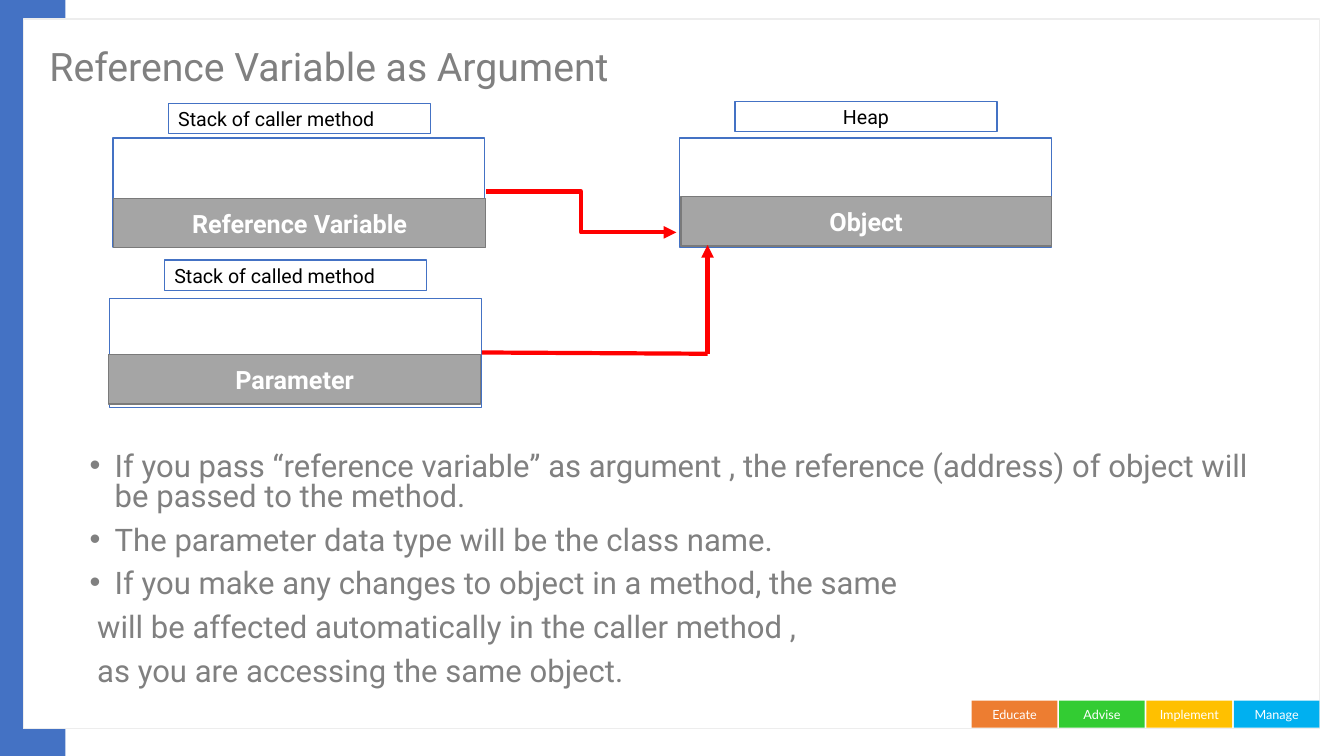
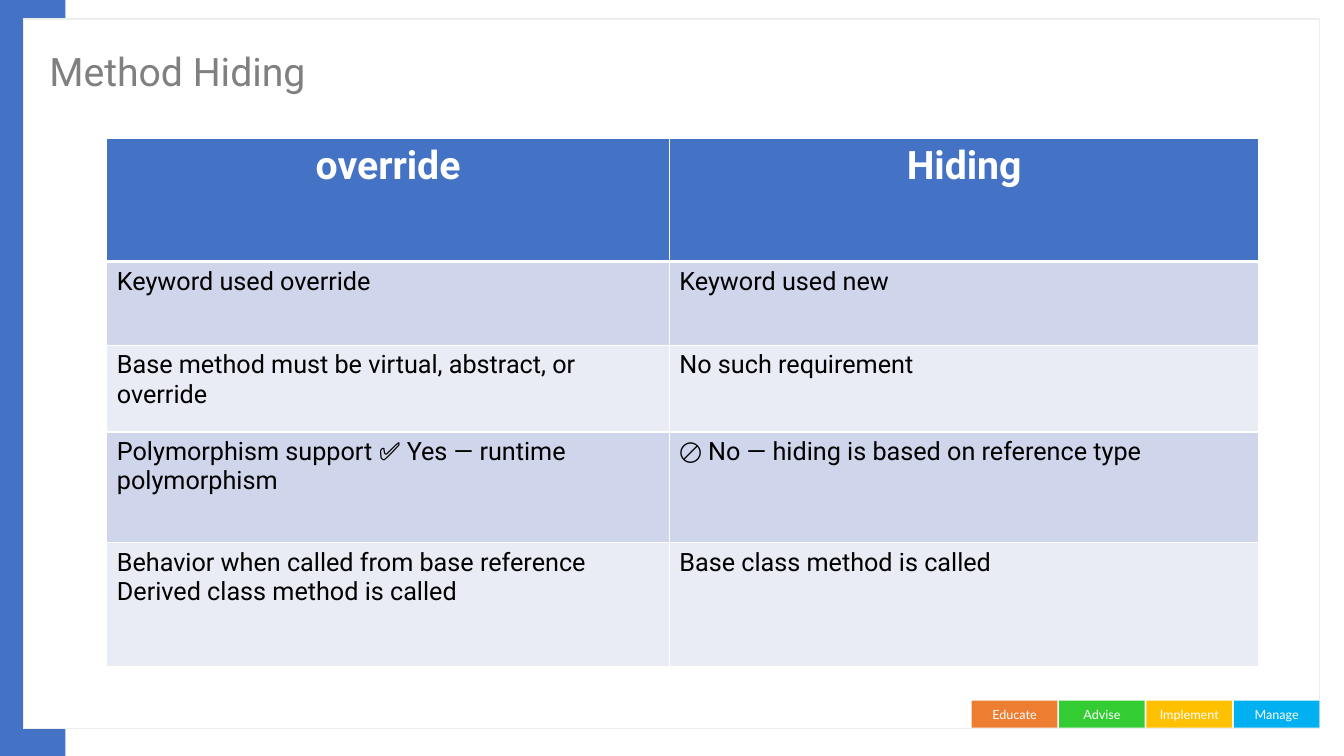
from lxml import etree
from pptx import Presentation
from pptx.dml.color import RGBColor
from pptx.enum import shapes, text
from pptx.oxml import ns
from pptx.util import Pt

BLUE, WHITE, BLACK, GREY, RED = "4472C4", "FFFFFF", "000000", "808080", "FF0000"
BAND, BAND_LINE, FRAME_LINE = "A5A5A5", "7A7A7A", "EDEDED"
ROW_FILLS = ("CFD5EA", "E9EBF5")
FONT, TAG_FONT = "Roboto", "Lato"
LEFT, CENTER = text.PP_ALIGN.LEFT, text.PP_ALIGN.CENTER

TAGS = [("Educate", "ED7D31"), ("Advise", "33CC33"),
        ("Implement", "FFC000"), ("Manage", "00B0F0")]

# Outer box, caption, alignment and box of the caption, band text and box
MEMORY_BLOCKS = [
    ((80.6, 98.6, 265.7, 78), "Stack of caller method", LEFT, (120.2, 73.9, 187.2, 21.6),
     "Reference Variable", (81.2, 141.6, 265.7, 35.3)),
    ((485.3, 98.6, 265.7, 78), "Heap", CENTER, (525, 72.5, 187.2, 21.6),
     "Object", (486.4, 140.4, 264.5, 35.3)),
    ((78.3, 213.1, 265.7, 78), "Stack of called method", LEFT, (117.4, 185.8, 187.2, 21.6),
     "Parameter", (77.6, 253.4, 265.7, 35.3)),
]
# Kind, start, end, arrowhead
STRAIGHT, ELBOW = shapes.MSO_CONNECTOR.STRAIGHT, shapes.MSO_CONNECTOR.ELBOW
LINKS = [
    (ELBOW, (347, 136.8), (483.1, 166), True),
    (STRAIGHT, (344.2, 251.8), (505.4, 252.7), False),
    (STRAIGHT, (505.4, 252.7), (505.4, 175), True),
]
# Text, bulleted
NOTES = [
    ("If you pass “reference variable” as argument , the reference (address) of object "
     "will be passed to the method.", True),
    ("The parameter data type will be the class name.", True),
    ("If you make any changes to object in a method, the same", True),
    ("will be affected automatically in the caller method ,", False),
    ("as you are accessing the same object.", False),
]
COMPARISON = [
    ("override", "Hiding"),
    ("Keyword used override", "Keyword used new"),
    ("Base method must be virtual, abstract, or override", "No such requirement"),
    ("Polymorphism support ✅ Yes — runtime polymorphism",
     "🚫 No — hiding is based on reference type"),
    ("Behavior when called from base reference Derived class method is called",
     "Base class method is called"),
]
COLUMN_WIDTHS = (401.8, 421.2)
ROW_HEIGHTS = (88.3, 59.8, 61.9, 79.2, 88.6)


def color(value):
    return RGBColor.from_string(value)


def points(values):
    return [Pt(value) for value in values]


def add_xml(parent, tag, **attributes):
    return etree.SubElement(parent, ns.qn(tag), attributes)


def add_run(paragraph, words, size, ink, bold=False, font=FONT):
    run = paragraph.add_run()
    run.text = words
    run.font.name, run.font.size, run.font.bold = font, Pt(size), bold
    run.font.color.rgb = color(ink)


def add_box(slide, box, fill, line=None):
    shape = slide.shapes.add_shape(shapes.MSO_SHAPE.RECTANGLE, *points(box))
    shape.shadow.inherit = False
    shape.fill.solid()
    shape.fill.fore_color.rgb = color(fill)
    if line:
        shape.line.color.rgb = color(line)
        shape.line.width = Pt(1)
    else:
        shape.line.fill.background()
    return shape


def add_label(shape, words, size, ink, align=CENTER, **style):
    shape.text_frame.vertical_anchor = text.MSO_ANCHOR.MIDDLE
    paragraph = shape.text_frame.paragraphs[0]
    paragraph.alignment = align
    add_run(paragraph, words, size, ink, **style)


def add_frame(slide, layout):
    """Draw the stripe, page and tags, then move them to the shared layout."""
    parts = [add_box(slide, (0, 0, 46.8, 540), BLUE),
             add_box(slide, (16.6, 13.7, 925.9, 506.9), WHITE, FRAME_LINE)]
    for index, (words, fill) in enumerate(TAGS):
        tag = add_box(slide, (694.1 + 62.4 * index, 500.4, 61.2, 19.4), fill)
        add_label(tag, words, 9, WHITE, font=TAG_FONT)
        parts.append(tag)
    for index, part in enumerate(parts):
        layout.shapes.element.insert(2 + index, part.element)


def set_title(slide, words, top):
    title = slide.shapes.title
    title.left, title.top, title.width, title.height = points((28.1, top, 743, 62.6))
    title.text_frame.auto_size = text.MSO_AUTO_SIZE.NONE
    title.text_frame.paragraphs[0].line_spacing = 0.9
    add_label(title, words, 28, GREY, LEFT)


def add_link(slide, kind, start, end, arrow):
    link = slide.shapes.add_connector(kind, *points(start + end))
    link.line.color.rgb = color(RED)
    link.line.width = Pt(3)
    if arrow:
        add_xml(link.line._get_or_add_ln(), "a:tailEnd", type="triangle")
    add_xml(link.element.spPr, "a:effectLst")


def add_notes(slide):
    frame = slide.shapes.add_textbox(*points((56.9, 320.4, 869, 176.4))).text_frame
    frame.word_wrap = True
    for index, (words, bulleted) in enumerate(NOTES):
        paragraph = frame.paragraphs[0] if index == 0 else frame.add_paragraph()
        paragraph.line_spacing = 0.8
        paragraph.space_before = Pt(10 if index else 0)
        properties = paragraph._p.get_or_add_pPr()
        margin, indent = (18, -18) if bulleted else (5.5, 0)
        properties.set("marL", str(Pt(margin)))
        properties.set("indent", str(Pt(indent)))
        if bulleted:
            add_xml(properties, "a:buFont", typeface="Arial")
            add_xml(properties, "a:buChar", char="•")
        add_run(paragraph, words, 22.2, GREY)


def set_borders(cell, row):
    """Draw white borders, thicker between the header and the first row."""
    thick_side = {0: "B", 1: "T"}.get(row)
    for side in "LRTB":
        width = Pt(3 if side == thick_side else 1)
        line = add_xml(cell._tc.get_or_add_tcPr(), f"a:ln{side}", w=str(width))
        add_xml(add_xml(line, "a:solidFill"), "a:srgbClr", val=WHITE)


def add_comparison(slide):
    box = (76.3, 98.6, sum(COLUMN_WIDTHS), sum(ROW_HEIGHTS))
    table = slide.shapes.add_table(len(COMPARISON), len(COLUMN_WIDTHS), *points(box)).table
    for column, width in zip(table.columns, COLUMN_WIDTHS):
        column.width = Pt(width)
    for row, (height, entries) in enumerate(zip(ROW_HEIGHTS, COMPARISON)):
        table.rows[row].height = Pt(height)
        header = row == 0
        for column, words in enumerate(entries):
            cell = table.cell(row, column)
            set_borders(cell, row)
            cell.fill.solid()
            cell.fill.fore_color.rgb = color(BLUE if header else ROW_FILLS[(row - 1) % 2])
            paragraph = cell.text_frame.paragraphs[0]
            paragraph.alignment = CENTER if header else LEFT
            add_run(paragraph, words, 28 if header else 18, WHITE if header else BLACK, header)


def build_reference_slide(slide):
    set_title(slide, "Reference Variable as Argument", 18)
    add_notes(slide)
    for outer, caption, align, caption_box, words, band_box in MEMORY_BLOCKS:
        add_box(slide, outer, WHITE, BLUE)
        add_label(add_box(slide, band_box, BAND, BAND_LINE), words, 18, WHITE, bold=True)
        add_label(add_box(slide, caption_box, WHITE, BLUE), caption, 14, BLACK, align)
    for link in LINKS:
        add_link(slide, *link)


def build_hiding_slide(slide):
    set_title(slide, "Method Hiding", 21.6)
    add_comparison(slide)


def main():
    presentation = Presentation()
    presentation.slide_width, presentation.slide_height = Pt(960), Pt(540)
    layout = presentation.slide_layouts[5]
    reference_slide = presentation.slides.add_slide(layout)
    add_frame(reference_slide, layout)
    build_reference_slide(reference_slide)
    build_hiding_slide(presentation.slides.add_slide(layout))
    presentation.save("out.pptx")


if __name__ == "__main__":
    main()
